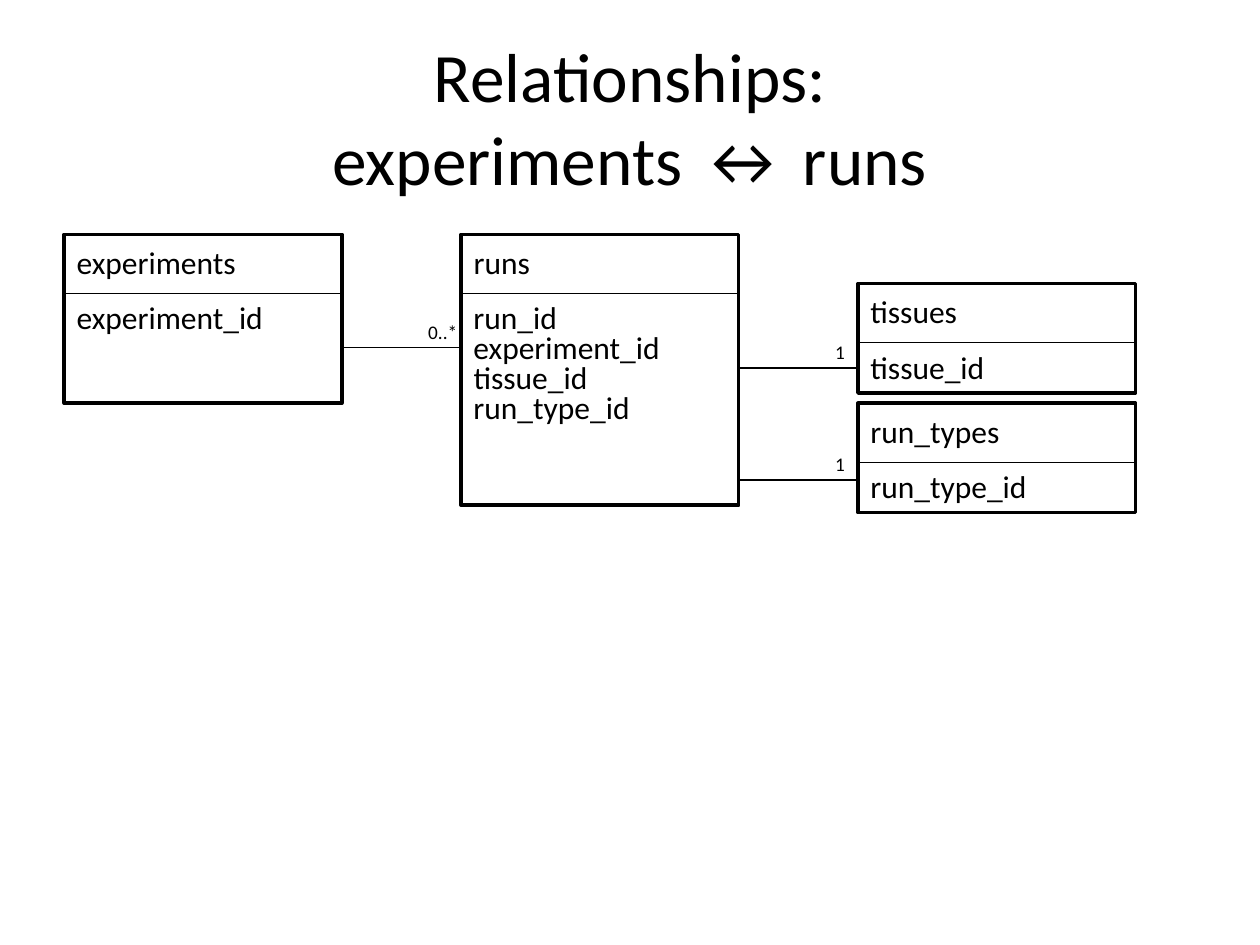
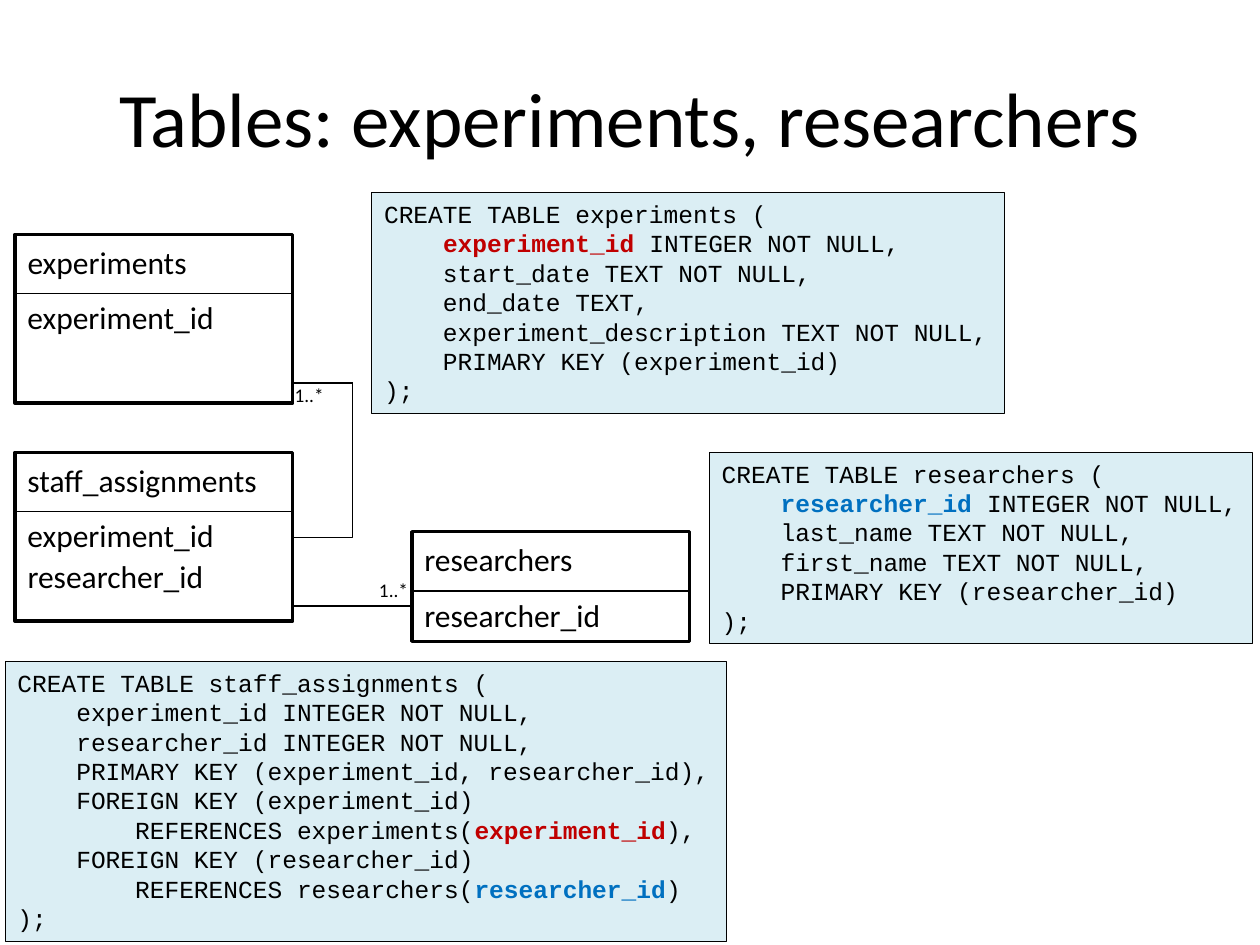
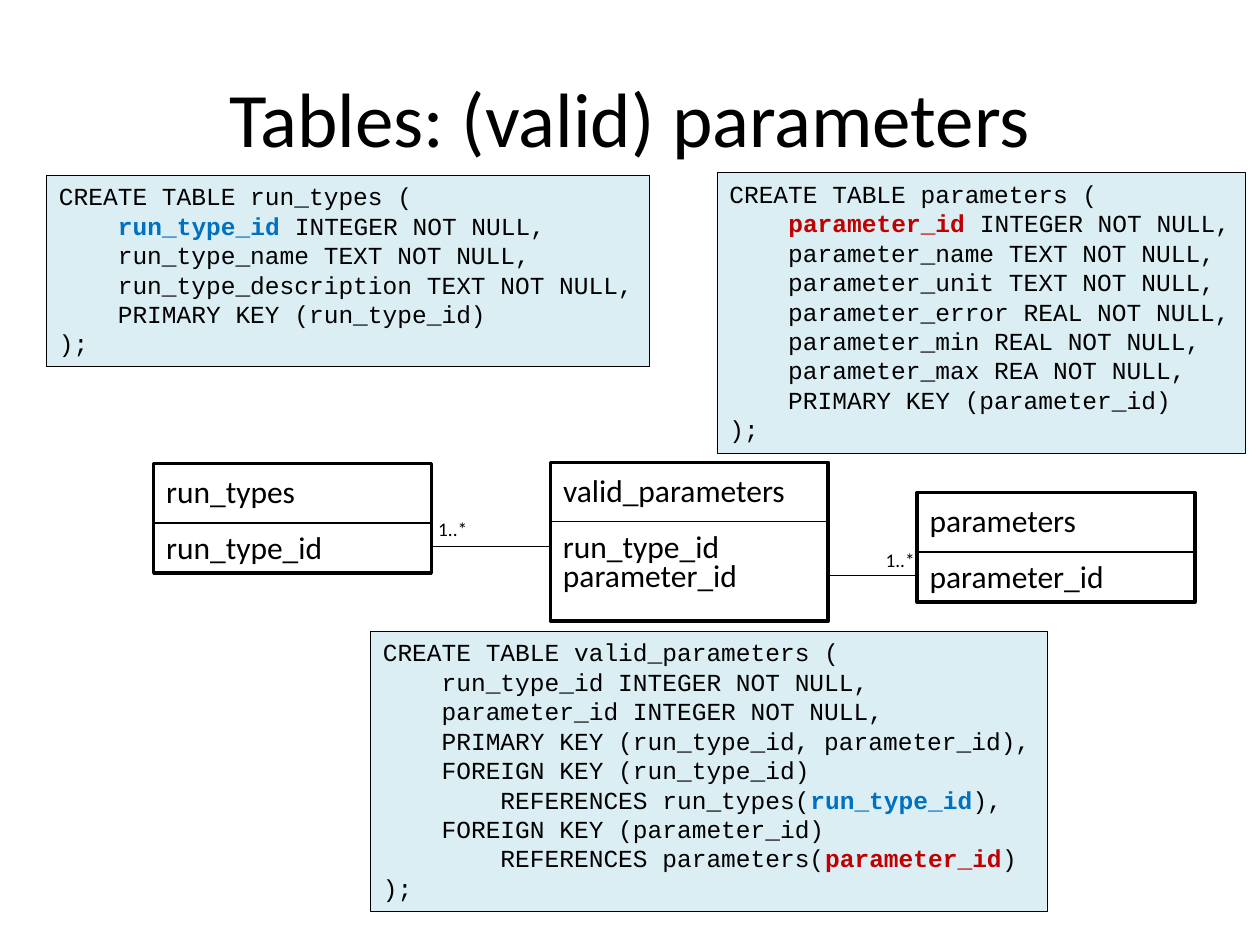
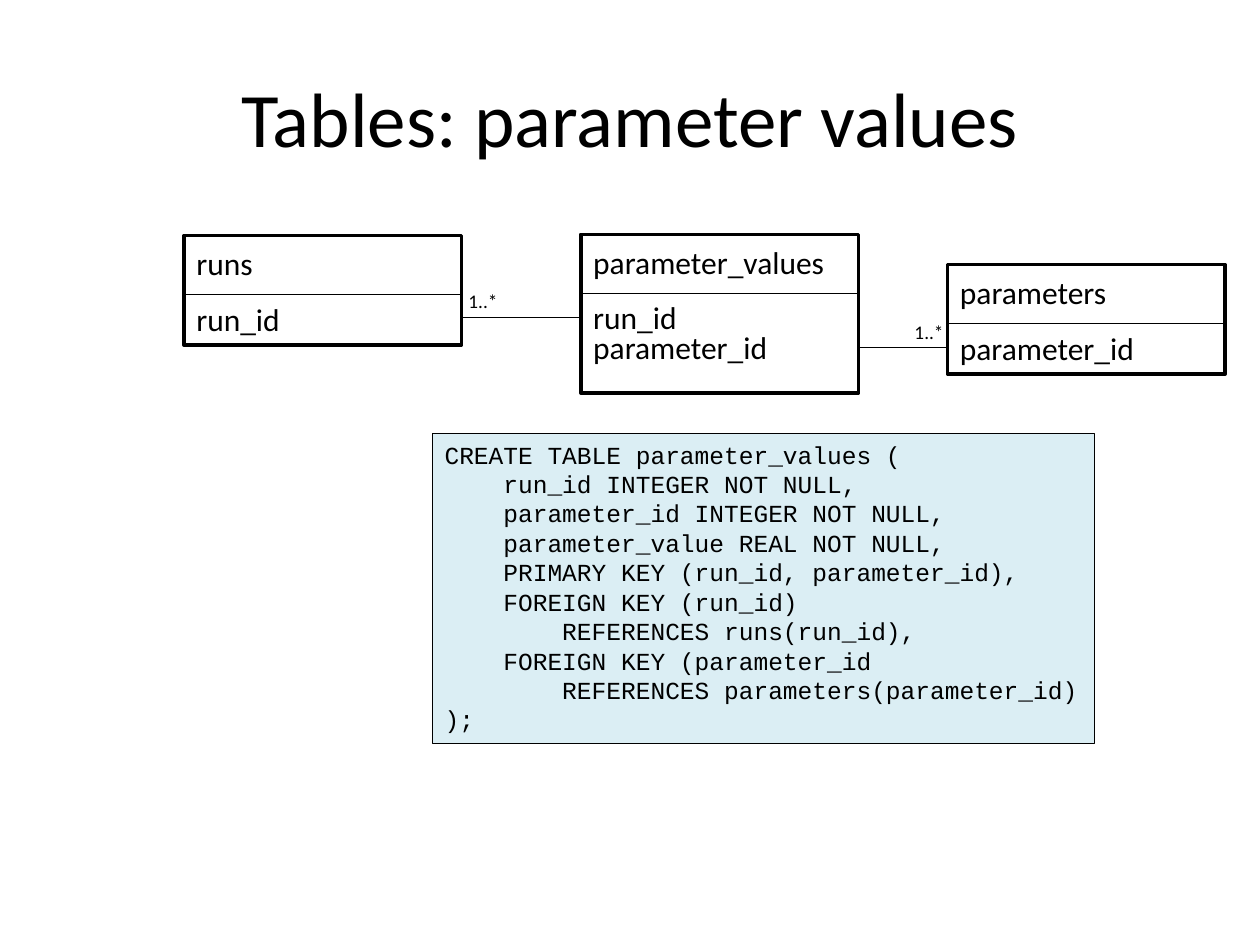
from lxml import etree
from pptx import Presentation
from pptx.dml.color import RGBColor
from pptx.enum.shapes import MSO_CONNECTOR, MSO_SHAPE
from pptx.enum.text import MSO_ANCHOR, MSO_AUTO_SIZE, PP_ALIGN
from pptx.oxml.ns import qn
from pptx.util import Inches, Pt

STRAIGHT, ELBOW = MSO_CONNECTOR.STRAIGHT, MSO_CONNECTOR.ELBOW
RECTANGLE = MSO_SHAPE.RECTANGLE
MIDDLE = MSO_ANCHOR.MIDDLE
CENTER = PP_ALIGN.CENTER
FIT_SHAPE, NO_FIT = MSO_AUTO_SIZE.SHAPE_TO_FIT_TEXT, MSO_AUTO_SIZE.NONE

BLACK = RGBColor(0x00, 0x00, 0x00)
RED = RGBColor(0xC0, 0x00, 0x00)
BLUE = RGBColor(0x00, 0x70, 0xC0)
PALE_BLUE = RGBColor(0xDB, 0xEE, 0xF4)
KEY_COLORS = {"experiment_id": RED, "researcher_id": BLUE,
              "run_type_id": BLUE, "parameter_id": RED}
BODY_FONT, CODE_FONT = "Calibri", "Courier New"

deck = Presentation()
deck.slide_width, deck.slide_height = Inches(10), Inches(7.5)
COLUMN = deck.slide_width / 100
ROW = deck.slide_height / 75

ENTITY_WIDTH = 22.04
HEADER_HEIGHT = 4.7
FIELD_STEP = 2.36
NAME_HEIGHT, LABEL_HEIGHT = 4, 2.9
NAME_WIDTHS = {
    "experiments": 14.8, "experiment_id": 17, "runs": 6.5, "run_id": 8.7,
    "tissues": 9, "tissue_id": 11.2, "run_types": 12.4, "run_type_id": 14.6,
    "researchers": 13.9, "researcher_id": 16.1, "staff_assignments": 20.4,
    "parameters": 13.8, "parameter_id": 16, "valid_parameters": 19.8,
    "parameter_values": 20.5,
}
LABEL_WIDTHS = {"1": 2.8, "0..*": 4.4, "1..*": 4.4}

pages = [
    {
        "title": ["Relationships:", "experiments ↔ runs"],
        "title_size": 39.6,
        "entities": [
            (5.1, 18.6, 13.4, FIELD_STEP, "experiments", ["experiment_id"]),
            (36.6, 18.6, 21.5, FIELD_STEP, "runs",
             ["run_id", "experiment_id", "tissue_id", "run_type_id"]),
            (68.1, 22.5, 8.7, FIELD_STEP, "tissues", ["tissue_id"]),
            (68.1, 32, 8.7, FIELD_STEP, "run_types", ["run_type_id"]),
        ],
        "links": [
            (27.2, 36.6, 27.6, "0..*", 33, 24.9),
            (58.7, 68.1, 29.2, "1", 65.3, 26.5),
            (58.7, 68.1, 38.1, "1", 65.3, 35.4),
        ],
        "code": [],
    },
    {
        "title": ["Tables: experiments, researchers"],
        "title_size": 44,
        "entities": [
            (1.2, 18.6, 13.4, FIELD_STEP, "experiments", ["experiment_id"]),
            (32.7, 42.2, 8.7, FIELD_STEP, "researchers", ["researcher_id"]),
            (1.2, 35.9, 13.4, 3.2, "staff_assignments",
             ["experiment_id", "researcher_id"]),
        ],
        "links": [
            (23.2, 32.7, 48.1, "1..*", 29.1, 45.4),
            (23.2, 28, 30.4, "1..*", 22.4, 29.9),
        ],
        "code": [
            (29.5, 15.3, """CREATE TABLE experiments (
    |experiment_id| INTEGER NOT NULL,
    start_date TEXT NOT NULL,
    end_date TEXT,
    experiment_description TEXT NOT NULL,
    PRIMARY KEY (experiment_id)
);"""),
            (56.3, 35.9, """CREATE TABLE researchers (
    |researcher_id| INTEGER NOT NULL,
    last_name TEXT NOT NULL,
    first_name TEXT NOT NULL,
    PRIMARY KEY (researcher_id)
);"""),
            (0.4, 52.5, """CREATE TABLE staff_assignments (
    experiment_id INTEGER NOT NULL,
    researcher_id INTEGER NOT NULL,
    PRIMARY KEY (experiment_id, researcher_id),
    FOREIGN KEY (experiment_id)
        REFERENCES experiments(|experiment_id|),
    FOREIGN KEY (researcher_id)
        REFERENCES researchers(|researcher_id|)
);"""),
        ],
    },
    {
        "title": ["Tables: (valid) parameters"],
        "title_size": 44,
        "entities": [
            (72.8, 39.1, 8.7, FIELD_STEP, "parameters", ["parameter_id"]),
            (12.2, 36.8, 8.7, FIELD_STEP, "run_types", ["run_type_id"]),
            (43.7, 36.7, 12.6, FIELD_STEP, "valid_parameters",
             ["run_type_id", "parameter_id"]),
        ],
        "links": [
            (65.7, 72.8, 45.7, "1..*", 69.3, 43),
            (34.3, 43.7, 43.4, "1..*", 33.8, 40.6),
        ],
        "code": [
            (56.9, 13.7, """CREATE TABLE parameters (
    |parameter_id| INTEGER NOT NULL,
    parameter_name TEXT NOT NULL,
    parameter_unit TEXT NOT NULL,
    parameter_error REAL NOT NULL,
    parameter_min REAL NOT NULL,
    parameter_max REA NOT NULL,
    PRIMARY KEY (parameter_id)
);"""),
            (29.4, 50.1, """CREATE TABLE valid_parameters (
    run_type_id INTEGER NOT NULL,
    parameter_id INTEGER NOT NULL,
    PRIMARY KEY (run_type_id, parameter_id),
    FOREIGN KEY (run_type_id)
        REFERENCES run_types(|run_type_id|),
    FOREIGN KEY (parameter_id)
        REFERENCES parameters(|parameter_id|)
);"""),
            (3.7, 13.9, """CREATE TABLE run_types (
    |run_type_id| INTEGER NOT NULL,
    run_type_name TEXT NOT NULL,
    run_type_description TEXT NOT NULL,
    PRIMARY KEY (run_type_id)
);"""),
        ],
    },
    {
        "title": ["Tables: parameter values"],
        "title_size": 44,
        "entities": [
            (75.2, 21, 8.7, FIELD_STEP, "parameters", ["parameter_id"]),
            (46.1, 18.6, 12.6, FIELD_STEP, "parameter_values",
             ["run_id", "parameter_id"]),
            (14.6, 18.7, 8.7, FIELD_STEP, "runs", ["run_id"]),
        ],
        "links": [
            (68.1, 75.2, 27.6, "1..*", 71.6, 24.9),
            (36.6, 46.1, 25.2, "1..*", 36.2, 22.5),
        ],
        "code": [
            (34.3, 34.4, """CREATE TABLE parameter_values (
    run_id INTEGER NOT NULL,
    parameter_id INTEGER NOT NULL,
    parameter_value REAL NOT NULL,
    PRIMARY KEY (run_id, parameter_id),
    FOREIGN KEY (run_id)
        REFERENCES runs(run_id),
    FOREIGN KEY (parameter_id
        REFERENCES parameters(parameter_id)
);"""),
        ],
    },
]


def add_text(page, text, left, top, width, height, size=18, font=BODY_FONT):
    box = page.shapes.add_textbox(round(left * COLUMN), round(top * ROW),
                                  round(width * COLUMN), round(height * ROW))
    frame = box.text_frame
    frame.word_wrap = False
    frame.auto_size = FIT_SHAPE
    for index, text_line in enumerate(text.splitlines()):
        para = frame.add_paragraph() if index else frame.paragraphs[0]
        for part, piece in enumerate(text_line.split("|")):
            is_key = part % 2 == 1
            span = para.add_run()
            span.text = piece
            span.font.name = font
            span.font.size = Pt(size)
            span.font.bold = is_key
            span.font.color.rgb = KEY_COLORS[piece] if is_key else BLACK
    return box


def add_line(page, start_x, start_y, end_x, end_y, kind=STRAIGHT):
    line = page.shapes.add_connector(
        kind, round(start_x * COLUMN), round(start_y * ROW),
        round(end_x * COLUMN), round(end_y * ROW))
    line.line.color.rgb = BLACK
    line.line.width = Pt(0.75)
    etree.SubElement(line._element.spPr, qn("a:effectLst"))
    return line


for content in pages:
    page = deck.slides.add_slide(deck.slide_layouts[5])

    title = page.shapes.title
    title.left, title.top = round(5 * COLUMN), round(3 * ROW)
    title.width, title.height = round(90 * COLUMN), round(12.5 * ROW)
    title.text_frame.vertical_anchor = MIDDLE
    title.text_frame.auto_size = NO_FIT
    para = title.text_frame.paragraphs[0]
    para.alignment = CENTER
    for index, title_line in enumerate(content["title"]):
        if index:
            para.add_line_break()
        span = para.add_run()
        span.text = title_line
        span.font.name = BODY_FONT
        span.font.size = Pt(content["title_size"])
        span.font.color.rgb = BLACK

    for left, top, height, step, name, fields in content["entities"]:
        frame = page.shapes.add_shape(
            RECTANGLE, round(left * COLUMN), round(top * ROW),
            round(ENTITY_WIDTH * COLUMN), round(height * ROW))
        frame.shadow.inherit = False
        frame.fill.background()
        frame.line.color.rgb = BLACK
        frame.line.width = Pt(2)
        add_text(page, name, left, top + 0.2, NAME_WIDTHS[name], NAME_HEIGHT)
        divider = top + HEADER_HEIGHT
        add_line(page, left, divider, left + ENTITY_WIDTH, divider)
        for index, field in enumerate(fields):
            add_text(page, field, left, divider - 0.1 + index * step,
                     NAME_WIDTHS[field], NAME_HEIGHT)

    for start, end, height, label, label_left, label_top in content["links"]:
        add_line(page, start, height, end, height)
        add_text(page, label, label_left, label_top,
                 LABEL_WIDTHS[label], LABEL_HEIGHT, size=11)

    for left, top, code in content["code"]:
        code_lines = code.replace("|", "").splitlines()
        box = add_text(page, code, left, top,
                       2 + 1.175 * max(map(len, code_lines)),
                       1 + 2.36 * len(code_lines), size=14, font=CODE_FONT)
        box.fill.solid()
        box.fill.fore_color.rgb = PALE_BLUE
        box.line.color.rgb = BLACK
        box.line.width = Pt(0.25)

staff_link = add_line(deck.slides[1], 19.5, 34.2, 31.7, 38.9, kind=ELBOW)
staff_link._element.spPr.find(qn("a:xfrm")).set("rot", "5400000")
staff_link._element.spPr.find(qn("a:prstGeom")).set("prst", "bentConnector2")

deck.save("out.pptx")
